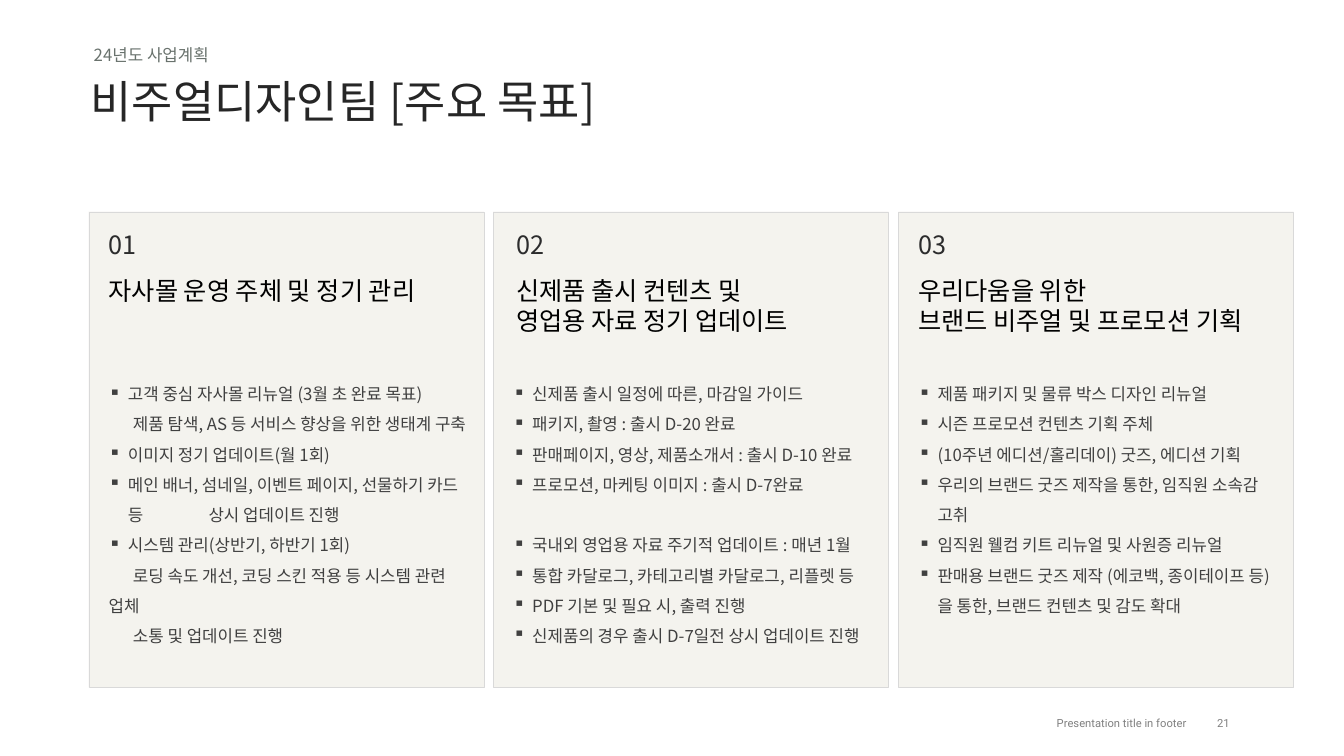
from lxml.etree import SubElement
from pptx import Presentation
from pptx.dml.color import RGBColor
from pptx.enum.shapes import MSO_SHAPE
from pptx.enum.text import MSO_ANCHOR, PP_ALIGN
from pptx.oxml.ns import qn
from pptx.util import Pt

PX = 9144  # 100 px to the inch
FONT = "Noto Sans CJK KR"
FOOTER_FONT = "Roboto"
COLORS = {
    "card": "F4F3EE", "border": "D9D9D9", "title": "262626", "kicker": "69726D",
    "number": "2C2C2D", "heading": "000000", "body": "404040", "footer": "808080",
}
CARD_TOP, CARD_WIDTH, CARD_HEIGHT = 210, 392, 472
HANG = 19
INSET = 24
TAB = 99

# Each card: number, offset of its heading, heading lines, body lines.
# "bullet" hangs, "inset" indents its first line, "group" is a bullet after a gap.
CARDS = [
    ("01", 10, ["자사몰 운영 주체 및 정기 관리"], [
        ("bullet", "고객 중심 자사몰 리뉴얼 (3월 초 완료 목표)"),
        ("inset", "제품 탐색, AS 등 서비스 향상을 위한 생태계 구축"),
        ("bullet", "이미지 정기 업데이트(월 1회)"),
        ("bullet", "메인 배너, 섬네일, 이벤트 페이지, 선물하기 카드 등\t상시 업데이트 진행"),
        ("bullet", "시스템 관리(상반기, 하반기 1회)"),
        ("inset", "로딩 속도 개선, 코딩 스킨 적용 등 시스템 관련 업체"),
        ("inset", "소통 및 업데이트 진행"),
    ]),
    ("02", 13, ["신제품 출시 컨텐츠 및", "영업용 자료 정기 업데이트"], [
        ("bullet", "신제품 출시 일정에 따른, 마감일 가이드"),
        ("bullet", "패키지, 촬영 : 출시 D-20 완료"),
        ("bullet", "판매페이지, 영상, 제품소개서 : 출시 D-10 완료"),
        ("bullet", "프로모션, 마케팅 이미지 : 출시 D-7완료"),
        ("group", "국내외 영업용 자료 주기적 업데이트 : 매년 1월"),
        ("bullet", "통합 카달로그, 카테고리별 카달로그, 리플렛 등"),
        ("bullet", "PDF 기본 및 필요 시, 출력 진행"),
        ("bullet", "신제품의 경우 출시 D-7일전 상시 업데이트 진행"),
    ]),
    ("03", 10, ["우리다움을 위한", "브랜드 비주얼 및 프로모션 기획"], [
        ("bullet", "제품 패키지 및 물류 박스 디자인 리뉴얼"),
        ("bullet", "시즌 프로모션 컨텐츠 기획 주체"),
        ("bullet", "(10주년 에디션/홀리데이) 굿즈, 에디션 기획"),
        ("bullet", "우리의 브랜드 굿즈 제작을 통한, 임직원 소속감 고취"),
        ("bullet", "임직원 웰컴 키트 리뉴얼 및 사원증 리뉴얼"),
        ("bullet", "판매용 브랜드 굿즈 제작 (에코백, 종이테이프 등)을 통한, 브랜드 컨텐츠 및 감도 확대"),
    ]),
]


def color(name):
    return RGBColor.from_string(COLORS[name])


def style(paragraph, size, color_name, font=FONT):
    paragraph.font.size = Pt(size)
    paragraph.font.color.rgb = color(color_name)
    paragraph.font.name = font
    defaults = paragraph.font.fill._xPr
    SubElement(defaults, qn("a:ea")).set("typeface", font)


def add_text(slide, box, lines, size, color_name, insets=(10, 5), font=FONT,
             align=PP_ALIGN.LEFT, anchor=MSO_ANCHOR.TOP):
    """Add a text box with one paragraph per line and return its paragraphs."""
    frame = slide.shapes.add_textbox(*(length * PX for length in box)).text_frame
    frame.word_wrap = True
    frame.vertical_anchor = anchor
    frame.margin_left = frame.margin_right = insets[0] * PX
    frame.margin_top = frame.margin_bottom = insets[1] * PX
    frame.text = "\n".join(lines)
    for paragraph in frame.paragraphs:
        paragraph.alignment = align
        if size:
            style(paragraph, size, color_name, font)
    return frame.paragraphs


def format_body_line(paragraph, kind):
    properties = paragraph._p.get_or_add_pPr()
    paragraph.line_spacing = 1.5
    if kind == "inset":
        properties.set("marL", "0")
        properties.set("indent", str(INSET * PX))
    else:
        properties.set("marL", str(HANG * PX))
        properties.set("indent", str(-HANG * PX))
        SubElement(properties, qn("a:buChar")).set("char", "▪")
    if kind == "group":
        paragraph.space_before = Pt(21.6)
    if "\t" in paragraph.text:
        tab = SubElement(SubElement(properties, qn("a:tabLst")), qn("a:tab"))
        tab.set("pos", str(TAB * PX))
        tab.set("algn", "l")
    style(paragraph, 12, "body")


def add_header(slide, left, top):
    add_text(slide, (left + 3, top, 400, 30), ["24년도 사업계획"], 12, "kicker", (5, 5))
    add_text(slide, (left, top + 29, 606, 64), ["비주얼디자인팀 [주요 목표]"],
             32, "title", (5, 5))


def add_card(slide, left, top, width, height, content):
    number, offset, heading, body = content
    card = slide.shapes.add_shape(MSO_SHAPE.RECTANGLE, left * PX, top * PX,
                                  width * PX, height * PX)
    card.shadow.inherit = False
    card.fill.solid()
    card.fill.fore_color.rgb = color("card")
    card.line.color.rgb = color("border")
    card.line.width = Pt(0.25)
    text_width = width - 11
    add_text(slide, (left + offset, top + 13, 58, 40), [number], 18, "number")
    add_text(slide, (left + offset, top + 58, text_width, 71), heading, 18, "heading")
    paragraphs = add_text(slide, (left + 10, top + 156, text_width, height - 156),
                          [text for _, text in body], None, "body")
    for paragraph, (kind, _) in zip(paragraphs, body):
        format_body_line(paragraph, kind)


def add_footer(slide, left, top, height):
    parts = [(0, 323, "Presentation title in footer", PP_ALIGN.RIGHT),
             (323, 73, "21", PP_ALIGN.CENTER)]
    for offset, width, text, align in parts:
        add_text(slide, (left + offset, top, width, height), [text], 8, "footer",
                 (0, 0), FOOTER_FONT, align, MSO_ANCHOR.MIDDLE)


def main():
    presentation = Presentation()
    presentation.slide_width = 1333 * PX
    presentation.slide_height = 750 * PX
    slide = presentation.slides.add_slide(presentation.slide_layouts[6])
    add_header(slide, 85, 39)
    for index, content in enumerate(CARDS):
        left = 88 + index * 803 // 2
        add_card(slide, left, CARD_TOP, CARD_WIDTH, CARD_HEIGHT, content)
    add_footer(slide, 854, 702, 31)
    presentation.save("out.pptx")


if __name__ == "__main__":
    main()
